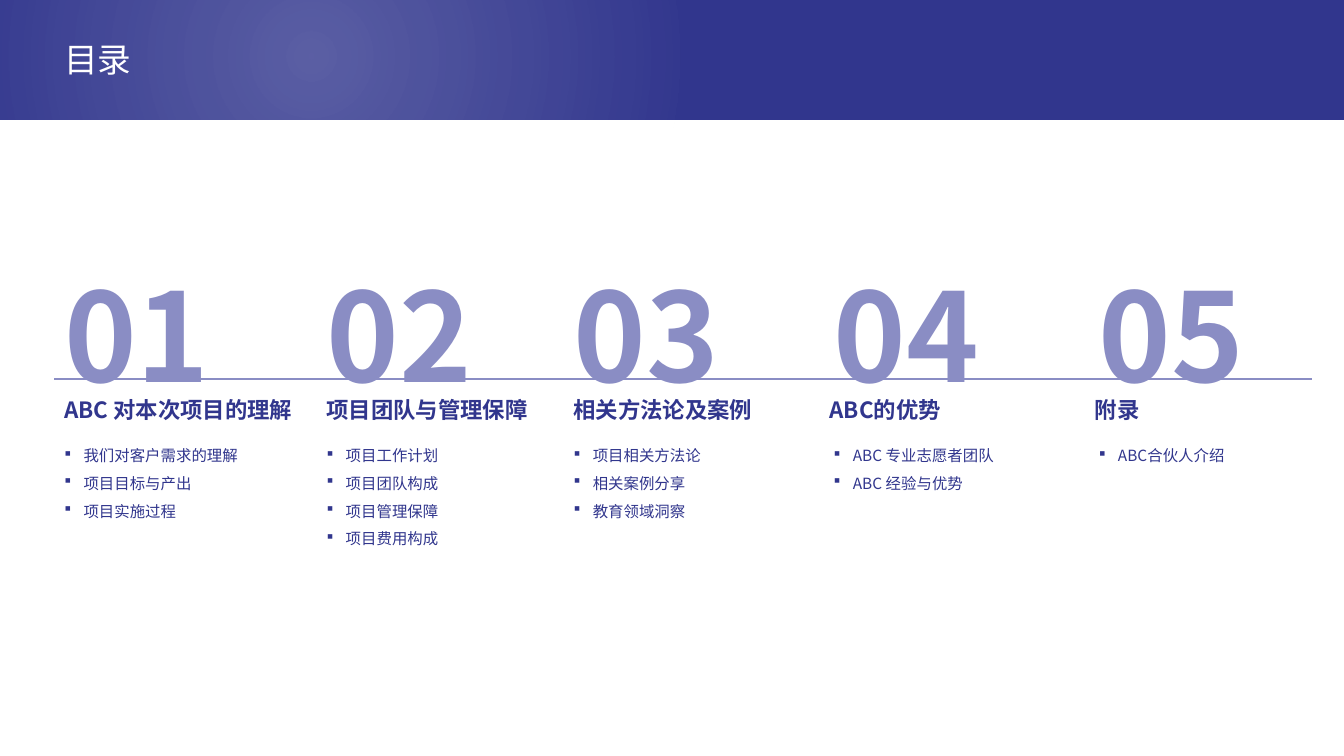
from lxml import etree
from pptx import Presentation, util as u
from pptx.dml.color import RGBColor
from pptx.enum import shapes, text
from pptx.oxml import parse_xml
from pptx.oxml.ns import nsdecls, qn

WIDE, HIGH = 13.33, 7.5
FONT = "Noto Sans CJK SC"
NAVY, LILAC, WHITE = "31368D", "8A8DC4", "FFFFFF"

# Left edge (percent of width), heading shift, heading, points
PARTS = [
    (4.05, 0, "ABC 对本次项目的理解",
     ["我们对客户需求的理解", "项目目标与产出", "项目实施过程"]),
    (23.56, 0, "项目团队与管理保障",
     ["项目工作计划", "项目团队构成", "项目管理保障", "项目费用构成"]),
    (41.94, 0, "相关方法论及案例",
     ["项目相关方法论", "相关案例分享", "教育领域洞察"]),
    (61.29, -0.3, "ABC的优势", ["ABC 专业志愿者团队", "ABC 经验与优势"]),
    (81.02, -0.3, "附录", ["ABC合伙人介绍"]),
]


def color(code):
    return RGBColor.from_string(code)


def place(x, y, w, h):
    """Turn percent of the slide into lengths."""
    return [u.Inches(share * side / 100)
            for share, side in zip((x, y, w, h), (WIDE, HIGH) * 2)]


def rect(slide, box):
    shape = slide.shapes.add_shape(shapes.MSO_SHAPE.RECTANGLE, *place(*box))
    shape.shadow.inherit = False
    shape.line.fill.background()
    return shape


def bullet(para):
    props = para._p.get_or_add_pPr()
    props.set("marL", str(u.Inches(0.19)))
    props.set("indent", str(-u.Inches(0.19)))
    etree.SubElement(props, qn("a:buFont")).set("typeface", "Wingdings")
    etree.SubElement(props, qn("a:buChar")).set("char", "§")


def write(slide, box, lines, size, tint, bold=False, anchor="MIDDLE",
          space=1.0, dots=False, wrap=True):
    frame = slide.shapes.add_textbox(*place(*box)).text_frame
    frame.word_wrap = wrap
    frame.vertical_anchor = text.MSO_ANCHOR[anchor]
    for i, line in enumerate(lines):
        para = frame.add_paragraph() if i else frame.paragraphs[0]
        para.line_spacing = space
        if dots:
            bullet(para)
        run = para.add_run()
        run.text = line
        run.font.size, run.font.bold = u.Pt(size), bold
        run.font.name = FONT
        run.font.color.rgb = color(tint)
        etree.SubElement(run._r.rPr, qn("a:ea")).set("typeface", FONT)


def header(slide, box, title):
    x, y, w, h = box
    band = rect(slide, box)
    band.fill.solid()
    band.fill.fore_color.rgb = color(NAVY)
    # Soft round glow, fading out at two thirds
    glow = rect(slide, (x - 0.185 * w, y - 0.14 * h, 0.833 * w, 1.21 * h))
    stops = "".join(
        f'<a:gs pos="{pos}"><a:srgbClr val="{WHITE}">'
        f'<a:alpha val="{alpha}"/></a:srgbClr></a:gs>'
        for pos, alpha in ((0, 20000), (66000, 0)))
    glow._element.spPr.find(qn("a:prstGeom")).addnext(parse_xml(
        f'<a:gradFill {nsdecls("a")}><a:gsLst>{stops}</a:gsLst>'
        '<a:path path="circle"><a:fillToRect l="50000" t="50000" '
        'r="50000" b="50000"/></a:path></a:gradFill>'))
    write(slide, (x + 4.05, y + 0.295 * h, 0.924 * w, 0.437 * h),
          [title], 24, WHITE, space=0.9)


def rule(slide, left, right, y):
    x1, y1, x2, y2 = place(left, y, right, y)
    line = slide.shapes.add_connector(shapes.MSO_CONNECTOR.STRAIGHT,
                                      x1, y1, x2, y2)
    line.line.color.rgb = color(LILAC)
    line.line.width = u.Pt(2)
    etree.SubElement(line._element.spPr, qn("a:effectLst"))


def column(slide, box, number, shift, heading, points):
    x, y, w, h = box
    write(slide, (x, y, 12.9, 0.57 * h), [f"{number:02}"], 88, LILAC,
          bold=True, wrap=False)
    write(slide, (x + shift, y + 0.39 * h, w, 0.237 * h), [heading], 16,
          NAVY, bold=True, anchor="BOTTOM")
    write(slide, (x, y + 0.64 * h, w, 1.2 + 3.65 * len(points)), points, 11,
          NAVY, anchor="TOP", space=1.5, dots=True)


def main():
    deck = Presentation()
    deck.slide_width, deck.slide_height = u.Inches(WIDE), u.Inches(HIGH)
    slide = deck.slides.add_slide(deck.slide_layouts[6])
    header(slide, (0, 0, 100, 15.87), "目录")
    rule(slide, 4.05, 97.6, 50.13)
    for number, (x, shift, heading, points) in enumerate(PARTS, 1):
        box = x, 33.47, min(19.2, 100 - x), 37
        column(slide, box, number, shift, heading, points)
    deck.save("out.pptx")


if __name__ == "__main__":
    main()
